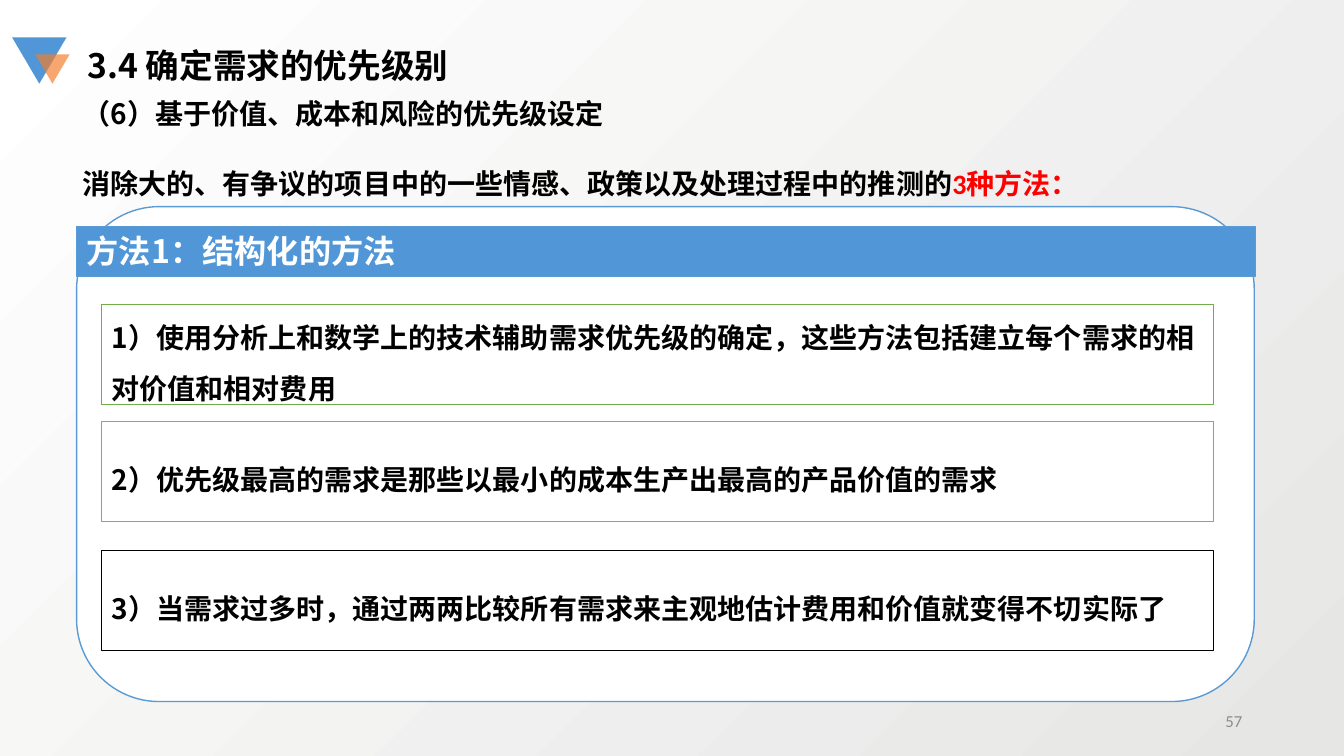
import pptx
import pptx.dml.color
import pptx.enum.shapes
import pptx.enum.text
import pptx.oxml
import pptx.oxml.ns
import pptx.util

PX = 9144
CJK = "Noto Sans CJK SC"
BLUE = "5197D7"
BORDER = "5B9BD5"
SHAPE = pptx.enum.shapes.MSO_SHAPE
ALIGN = pptx.enum.text.PP_ALIGN
ANCHOR = pptx.enum.text.MSO_ANCHOR


def px(n):
    """Convert px (100 to the inch) to EMU."""
    return pptx.util.Emu(n * PX)


def rgb(value):
    """Turn a hex string into a colour."""
    return pptx.dml.color.RGBColor.from_string(value)


def add_run(p, text, size=20, color="000000", bold=True, font=CJK):
    """Add one formatted run to a paragraph."""
    r = p.add_run()
    r.text = text
    r.font.size = pptx.util.Pt(size)
    r.font.bold = bold
    r.font.color.rgb = rgb(color)
    r.font.name = font
    ea = pptx.oxml.parse_xml(f'<a:ea {pptx.oxml.ns.nsdecls("a")} typeface="{CJK}"/>')
    r.font._element.append(ea)


def write(sp, text, anchor=ANCHOR.TOP, align=ALIGN.LEFT, spacing=1.0, **fmt):
    """Write a formatted paragraph into a shape and return it."""
    tf = sp.text_frame
    tf.word_wrap = True
    tf.auto_size = pptx.enum.text.MSO_AUTO_SIZE.NONE
    tf.vertical_anchor = anchor
    tf.margin_left = tf.margin_right = px(10)
    tf.margin_top = tf.margin_bottom = px(5)
    p = tf.paragraphs[0]
    p.alignment = align
    p.line_spacing = spacing
    add_run(p, text, **fmt)
    return p


def add_box(s, kind, box, fill=None, line=None, width=0.75):
    """Add a preset shape with a plain fill and outline."""
    sp = s.shapes.add_shape(kind, *map(px, box))
    sp.shadow.inherit = False
    if fill:
        sp.fill.solid()
        sp.fill.fore_color.rgb = rgb(fill)
    else:
        sp.fill.background()
    if line:
        sp.line.color.rgb = rgb(line)
        sp.line.width = pptx.util.Pt(width)
    else:
        sp.line.fill.background()
    return sp


def add_triangle(s, box, fill, alpha=100):
    """Add a triangle that points down."""
    sp = add_box(s, SHAPE.ISOSCELES_TRIANGLE, box, fill)
    sp.rotation = 180
    if alpha < 100:
        clr = sp.fill._xPr.find(".//" + pptx.oxml.ns.qn("a:srgbClr"))
        clr.append(pptx.oxml.parse_xml(
            f'<a:alpha {pptx.oxml.ns.nsdecls("a")} val="{alpha * 1000}"/>'))


def add_text(s, box, text, **fmt):
    """Add a text box and return its paragraph."""
    return write(s.shapes.add_textbox(*map(px, box)), text, **fmt)


def set_title(s, box, text, **fmt):
    """Place and fill the title placeholder."""
    sp = s.shapes.title
    sp.left, sp.top, sp.width, sp.height = map(px, box)
    write(sp, text, **fmt)


def set_background(s):
    """Fill the background with a diagonal gradient."""
    fill = s.background.fill
    fill.gradient()
    fill.gradient_angle = 135
    for stop, color in zip(fill.gradient_stops, ("E6E6E5", "FFFFFF")):
        stop.color.rgb = rgb(color)


def main():
    """Build the slide and save it."""
    prs = pptx.Presentation()
    prs.slide_width, prs.slide_height = px(1333), px(750)
    s = prs.slides.add_slide(prs.slide_layouts[5])
    set_background(s)
    add_triangle(s, (12, 37, 54, 46), BLUE)
    add_triangle(s, (35, 54, 34, 29), "F37D2A", alpha=68)
    set_title(s, (77, 40, 411, 50), "3.4 确定需求的优先级别", size=24)
    add_text(s, (72, 91, 849, 44), "（6）基于价值、成本和风险的优先级设定")
    p = add_text(s, (72, 160, 1185, 44),
                 "消除大的、有争议的项目中的一些情感、政策以及处理过程中的推测的",
                 font="Calibri")
    add_run(p, "3种方法：", color="FF0000", font="Calibri")

    add_box(s, SHAPE.ROUNDED_RECTANGLE, (76, 205, 1168, 491), "FFFFFF", BORDER, 1)
    bar = add_box(s, SHAPE.RECTANGLE, (76, 225, 1169, 49), BLUE, BORDER)
    write(bar, "方法1：结构化的方法", size=23, color="FFFFFF")

    points = [
        (302, "70AD47", "1）使用分析上和数学上的技术辅助需求优先级的确定，"
                        "这些方法包括建立每个需求的相对价值和相对费用"),
        (418, "999999", "2）优先级最高的需求是那些以最小的成本生产出最高的产品价值的需求"),
        (546, "000000", "3）当需求过多时，通过两两比较所有需求来主观地估计费用和价值就变得不切实际了"),
    ]
    for top, line, text in points:
        sp = add_box(s, SHAPE.RECTANGLE, (101, top, 1103, 99), line=line)
        write(sp, text, anchor=ANCHOR.MIDDLE, spacing=1.5)

    add_text(s, (942, 695, 300, 40), "57", anchor=ANCHOR.MIDDLE, align=ALIGN.RIGHT,
             size=12, color="8C8C8C", bold=False, font="Calibri")
    prs.save("out.pptx")


if __name__ == "__main__":
    main()
